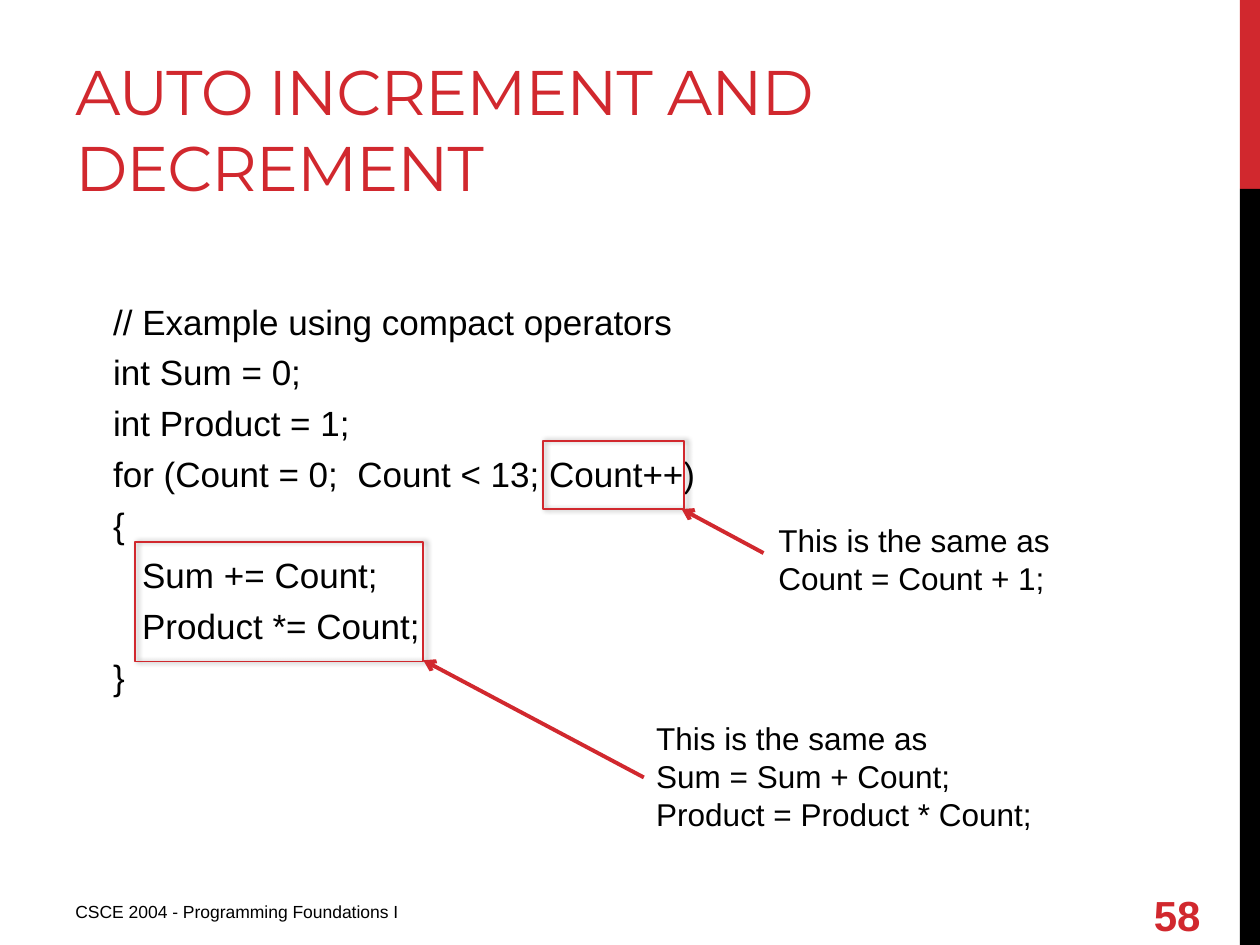
from typing import NamedTuple

from lxml.etree import SubElement
from pptx import Presentation
from pptx.dml.color import RGBColor
from pptx.enum.shapes import MSO_CONNECTOR, MSO_SHAPE
from pptx.enum.text import MSO_ANCHOR
from pptx.oxml.ns import qn
from pptx.util import Inches, Pt

W, H = Inches(10), Inches(7.5)
RED, BLACK = "D1282E", "000000"


class Box(NamedTuple):
    """Left, top, width and height in percent of the slide."""
    x: float
    y: float
    w: float
    h: float


class Arrow(NamedTuple):
    """Start and tip in percent of the slide."""
    x1: float
    y1: float
    x2: float
    y2: float


class Callout(NamedTuple):
    """A framed piece of code with an arrow from its explanation."""
    frame: Box
    arrow: Arrow
    note: Box
    text: str


BARS = [(Box(98.4, 0, 1.6, 20), RED), (Box(98.4, 20, 1.6, 80), BLACK)]
CODE = """// Example using compact operators
int Sum = 0;
int Product = 1;
for (Count = 0;  Count < 13; Count++)
{
\tSum += Count;
\tProduct *= Count;
}"""
CALLOUTS = [
    Callout(Box(10.7, 57.33, 22.9, 12.67), Arrow(51.1, 82.27, 33.6, 69.87),
            Box(51.1, 75.47, 33.1, 13.47),
            "This is the same as\nSum = Sum + Count;\nProduct = Product * Count;"),
    Callout(Box(43.1, 46.67, 11.2, 7.2), Arrow(60.6, 58.53, 54.1, 53.87),
            Box(60.8, 54.53, 27.5, 9.47),
            "This is the same as\nCount = Count + 1;"),
]


def color(value: str) -> RGBColor:
    """Turn a hex string into a colour."""
    return RGBColor.from_string(value)


def emu(q: tuple) -> list[int]:
    """Turn alternating x and y shares into slide lengths."""
    return [int(v * (H if i % 2 else W) / 100) for i, v in enumerate(q)]


def add_text(s, box: Box, text: str, *, size: float, font: str = "Arial",
             fill: str = BLACK, bold: bool = False, anchor=MSO_ANCHOR.TOP,
             after: float = 0, tracking: int = 0) -> None:
    """Add a text box with one paragraph a line; a leading tab indents it."""
    tf = s.shapes.add_textbox(*emu(box)).text_frame
    tf.word_wrap = True
    tf.vertical_anchor = anchor
    for i, line in enumerate(text.split("\n")):
        p = tf.add_paragraph() if i else tf.paragraphs[0]
        p.space_after = Pt(after)
        if line.startswith("\t"):
            p._p.get_or_add_pPr().set("marL", str(Inches(0.23)))
        r = p.add_run()
        r.text = line.strip()
        r.font.name, r.font.size, r.font.bold = font, Pt(size), bold
        r.font.color.rgb = color(fill)
        if tracking:
            r._r.get_or_add_rPr().set("spc", str(tracking))


def add_bar(s, box: Box, fill: str) -> None:
    """Add a plain filled rectangle."""
    sp = s.shapes.add_shape(MSO_SHAPE.RECTANGLE, *emu(box))
    sp.shadow.inherit = False
    sp.fill.solid()
    sp.fill.fore_color.rgb = color(fill)
    sp.line.fill.background()


def add_frame(s, box: Box) -> None:
    """Add a thin outlined rectangle with a soft shadow to the right."""
    sp = s.shapes.add_shape(MSO_SHAPE.RECTANGLE, *emu(box))
    sp.fill.background()
    sp.line.color.rgb = color(RED)
    sp.line.width = Pt(1)
    sp.shadow.inherit = False
    effects = sp._element.spPr.find(qn("a:effectLst"))
    shadow = SubElement(effects, qn("a:outerShdw"), blurRad=str(Pt(3.1)),
                        dist=str(Pt(1.8)), dir="0", rotWithShape="0")
    tint = SubElement(shadow, qn("a:srgbClr"), val=BLACK)
    SubElement(tint, qn("a:alpha"), val="40000")


def add_arrow(s, arrow: Arrow) -> None:
    """Add a straight line with an open arrowhead at its tip."""
    sp = s.shapes.add_connector(MSO_CONNECTOR.STRAIGHT, *emu(arrow))
    sp.line.color.rgb = color(RED)
    sp.line.width = Pt(2.25)
    SubElement(sp.line._get_or_add_ln(), qn("a:tailEnd"), type="arrow")
    SubElement(sp._element.spPr, qn("a:effectLst"))


def main() -> None:
    """Build the slide and save it."""
    prs = Presentation()
    prs.slide_width, prs.slide_height = W, H
    s = prs.slides.add_slide(prs.slide_layouts[6])
    for box, fill in BARS:
        add_bar(s, box, fill)
    add_text(s, Box(5, 2.27, 63.3, 20), "AUTO INCREMENT AND DECREMENT", size=36,
             font="Montserrat", fill=RED, anchor=MSO_ANCHOR.BOTTOM, tracking=-60)
    add_text(s, Box(8, 31.1, 75.3, 58), CODE, size=20, after=5)
    add_text(s, Box(5, 94.67, 37.5, 4.13), "CSCE 2004 - Programming Foundations I",
             size=10)
    add_text(s, Box(90.6, 94.13, 7.4, 5.33), "58", size=24, fill=RED, bold=True,
             anchor=MSO_ANCHOR.MIDDLE)
    for c in CALLOUTS:
        add_frame(s, c.frame)
        add_arrow(s, c.arrow)
        add_text(s, c.note, c.text, size=18)
    prs.save("out.pptx")


if __name__ == "__main__":
    main()
